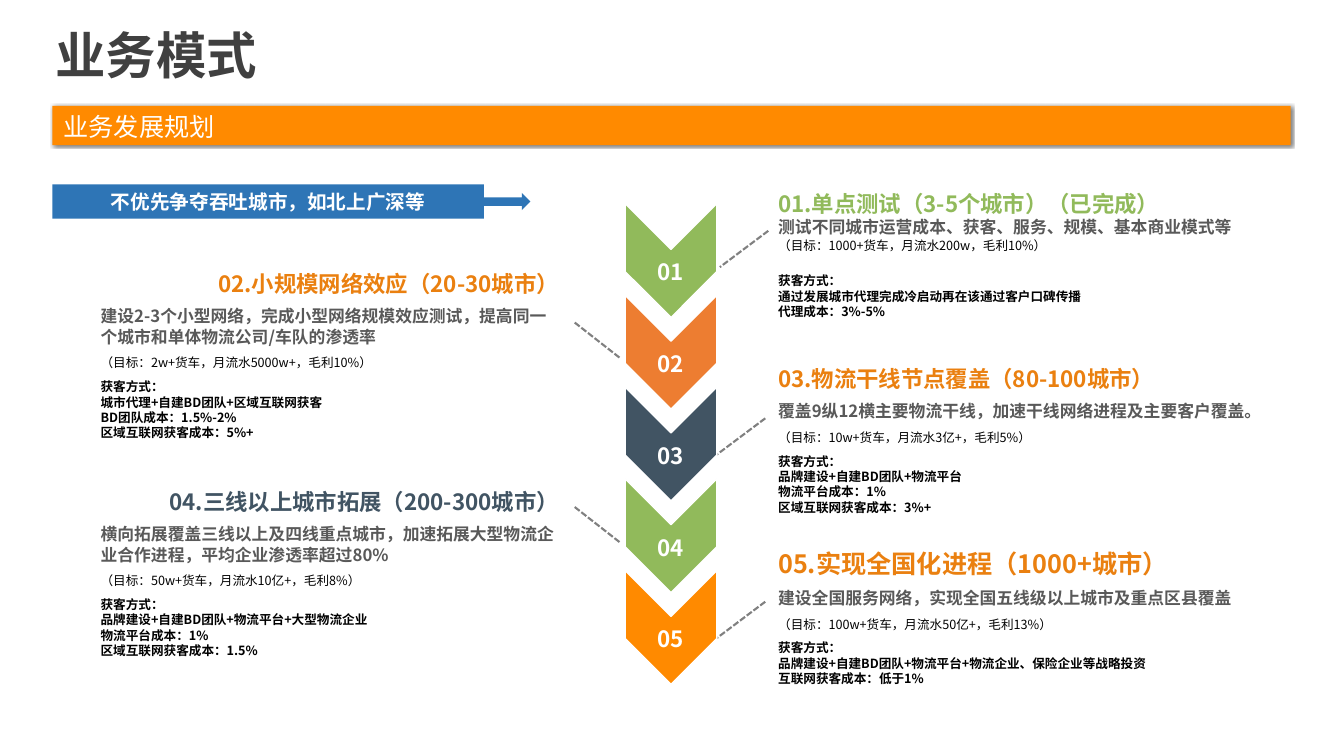
"""Build the business model slide with its five-stage growth plan."""
from lxml import etree
from pptx import Presentation
from pptx.dml.color import RGBColor as RGB
from pptx.enum.dml import MSO_LINE as Dash
from pptx.enum.shapes import MSO_CONNECTOR as Link, MSO_SHAPE as Shape
from pptx.enum.text import MSO_ANCHOR as Anchor, PP_ALIGN as Align
from pptx.oxml.ns import qn
from pptx.util import Inches, Pt

THEME = {
    "orange": "FF8A00", "amber": "EA8010", "coral": "ED7D31", "green": "91BA5B",
    "slate": "415463", "blue": "2E75B6", "white": "FFFFFF", "ink": "404040",
    "gray": "595959", "dash": "808080", "black": "000000",
    "font": "Noto Sans CJK SC", "latin": "Calibri", "lead": 1.22,
    "title": 36, "bar": 18, "call": 14, "head": 16, "big": 18, "body": 12, "note": 9,
}
TITLE = "业务模式"
BAR = "业务发展规划"
CALL = "不优先争夺吞吐城市，如北上广深等"
STAGES = [
    {"fill": "green", "color": "green", "size": "head", "box": (7.62, 1.83, 4.92, 1.43),
     "link": (7.62, 2.29, 7.14), "after": 0, "gap": 14.6,
     "text": ["01.单点测试（3-5个城市）（已完成）",
              "测试不同城市运营成本、获客、服务、规模、基本商业模式等",
              "（目标：1000+货车，月流水200w，毛利10%）",
              "获客方式：", "通过发展城市代理完成冷启动再在该通过客户口碑传播",
              "代理成本：3%-5%"]},
    {"fill": "coral", "color": "amber", "size": "head", "box": (0.9, 2.63, 4.74, 1.78),
     "link": (5.7, 3.2, 6.16), "after": 6, "gap": 0,
     "text": ["02.小规模网络效应（20-30城市）",
              "建设2-3个小型网络，完成小型网络规模效应测试，提高同一个城市和单体物流公司/车队的渗透率",
              "（目标：2w+货车，月流水5000w+，毛利10%）",
              "获客方式：", "城市代理+自建BD团队+区域互联网获客",
              "BD团队成本：1.5%-2%", "区域互联网获客成本：5%+"]},
    {"fill": "slate", "color": "amber", "size": "head", "box": (7.62, 3.57, 4.93, 1.58),
     "link": (7.59, 4.15, 7.11), "after": 6, "gap": 0,
     "text": ["03.物流干线节点覆盖（80-100城市）",
              "覆盖9纵12横主要物流干线，加速干线网络进程及主要客户覆盖。",
              "（目标：10w+货车，月流水3亿+，毛利5%）",
              "获客方式：", "品牌建设+自建BD团队+物流平台",
              "物流平台成本：1%", "区域互联网获客成本：3%+"]},
    {"fill": "green", "color": "slate", "size": "head", "box": (0.9, 4.79, 4.74, 1.85),
     "link": (5.7, 5.03, 6.16), "after": 6, "gap": 0,
     "text": ["04.三线以上城市拓展（200-300城市）",
              "横向拓展覆盖三线以上及四线重点城市，加速拓展大型物流企业合作进程，平均企业渗透率超过80%",
              "（目标：50w+货车，月流水10亿+，毛利8%）",
              "获客方式：", "品牌建设+自建BD团队+物流平台+大型物流企业",
              "物流平台成本：1%", "区域互联网获客成本：1.5%"]},
    {"fill": "orange", "color": "amber", "size": "big", "box": (7.62, 5.39, 4.93, 1.46),
     "link": (7.59, 5.97, 7.11), "after": 6, "gap": 0,
     "text": ["05.实现全国化进程（1000+城市）",
              "建设全国服务网络，实现全国五线级以上城市及重点区县覆盖",
              "（目标：100w+货车，月流水50亿+，毛利13%）",
              "获客方式：", "品牌建设+自建BD团队+物流平台+物流企业、保险企业等战略投资",
              "互联网获客成本：低于1%"]},
]
TOP, STEP, LEFT, DROP = 2.13, 0.91, 6.09, 0.36


def tint(name):
    return RGB.from_string(THEME[name])


def write(para, text, size, color, bold=False, align=Align.LEFT, font="font", lead=None):
    para.text = text
    para.alignment = align
    para.line_spacing = lead or Pt(THEME[size] * THEME["lead"])
    for run in para.runs:
        run.font.size = Pt(THEME[size])
        run.font.bold = bold
        run.font.color.rgb = tint(color)
        run.font.name = THEME[font]
        east = etree.SubElement(run._r.get_or_add_rPr(), qn("a:ea"))
        east.set("typeface", THEME["font"])


def frame(shape, pad=None, anchor=Anchor.TOP):
    area = shape.text_frame
    area.word_wrap = True
    area.vertical_anchor = anchor
    if pad is not None:
        area.margin_left = area.margin_right = Inches(pad)
        area.margin_top = area.margin_bottom = Inches(pad / 2)
    return area


def add_box(slide, box, pad=None, anchor=Anchor.TOP):
    return frame(slide.shapes.add_textbox(*map(Inches, box)), pad, anchor)


def add_form(slide, kind, box, fill):
    form = slide.shapes.add_shape(kind, *map(Inches, box))
    form.shadow.inherit = False
    form.fill.solid()
    form.fill.fore_color.rgb = tint(fill)
    form.line.fill.background()
    return form


def add_bar(slide):
    bar = add_form(slide, Shape.RECTANGLE, (0.52, 1.05, 12.28, 0.39), "orange")
    glow = etree.SubElement(bar._element.spPr.find(qn("a:effectLst")), qn("a:outerShdw"),
                            blurRad=str(Pt(2)), dist=str(Pt(1)), dir="2700000",
                            algn="tl", rotWithShape="0")
    shade = etree.SubElement(glow, qn("a:srgbClr"), val=THEME["black"])
    etree.SubElement(shade, qn("a:alpha"), val="50000")
    area = add_box(slide, (0.63, 1.1, 11.69, 0.3), 0)
    write(area.paragraphs[0], BAR, "bar", "white")


def add_notes(slide, stage):
    area = add_box(slide, stage["box"])
    side = Align.RIGHT if stage["box"][0] < LEFT else Align.LEFT
    looks = [(stage["size"], stage["color"], True, side),
             ("body", "gray", True), ("note", "black", False)]
    for row, text in enumerate(stage["text"]):
        para = area.paragraphs[0] if row == 0 else area.add_paragraph()
        look = looks[row] if row < 3 else ("note", "black", True)
        write(para, text, *look)
        para.space_after = Pt(stage["after"] if row < 3 else 0)
        if row == 3:
            para.space_before = Pt(stage["gap"])


def add_mark(slide, rank, stage):
    top = TOP + STEP * rank
    mark = add_form(slide, Shape.CHEVRON, (LEFT, top, 1.13, 0.91), stage["fill"])
    mark.rotation = 90
    mark.line.color.rgb = tint("white")
    mark.line.width = Pt(1)
    area = add_box(slide, (LEFT + 0.11, top + 0.38, 0.9, 0.39))
    write(area.paragraphs[0], f"{rank + 1:02}", "head", "white", True, Align.CENTER)


def add_link(slide, start, top, end):
    ends = map(Inches, (start, top, end, top + DROP))
    link = slide.shapes.add_connector(Link.STRAIGHT, *ends)
    link.line.color.rgb = tint("dash")
    link.line.width = Pt(1.5)
    link.line.dash_style = Dash.SQUARE_DOT
    etree.SubElement(link._element.spPr, qn("a:effectLst"))


def add_call(slide):
    call = add_form(slide, Shape.RIGHT_ARROW_CALLOUT, (0.52, 1.83, 4.74, 0.34), "blue")
    for spot, ratio in enumerate((0.25, 0.25, 0.25, 0.903)):
        call.adjustments[spot] = ratio
    area = frame(call, 0.1, Anchor.MIDDLE)
    write(area.paragraphs[0], CALL, "call", "white", True, Align.CENTER)


def main():
    deck = Presentation()
    deck.slide_width, deck.slide_height = Inches(13.33), Inches(7.5)
    slide = deck.slides.add_slide(deck.slide_layouts[5])
    title = slide.shapes.title
    title.left, title.top, title.width, title.height = map(Inches, (0.55, 0.35, 12.26, 0.49))
    area = frame(title, 0, Anchor.MIDDLE)
    write(area.paragraphs[0], TITLE, "title", "ink", True, font="latin", lead=0.8)
    add_bar(slide)
    for stage in STAGES:
        add_notes(slide, stage)
        add_link(slide, *stage["link"])
    for rank, stage in reversed(list(enumerate(STAGES))):
        add_mark(slide, rank, stage)
    add_call(slide)
    deck.save("out.pptx")


if __name__ == "__main__":
    main()
